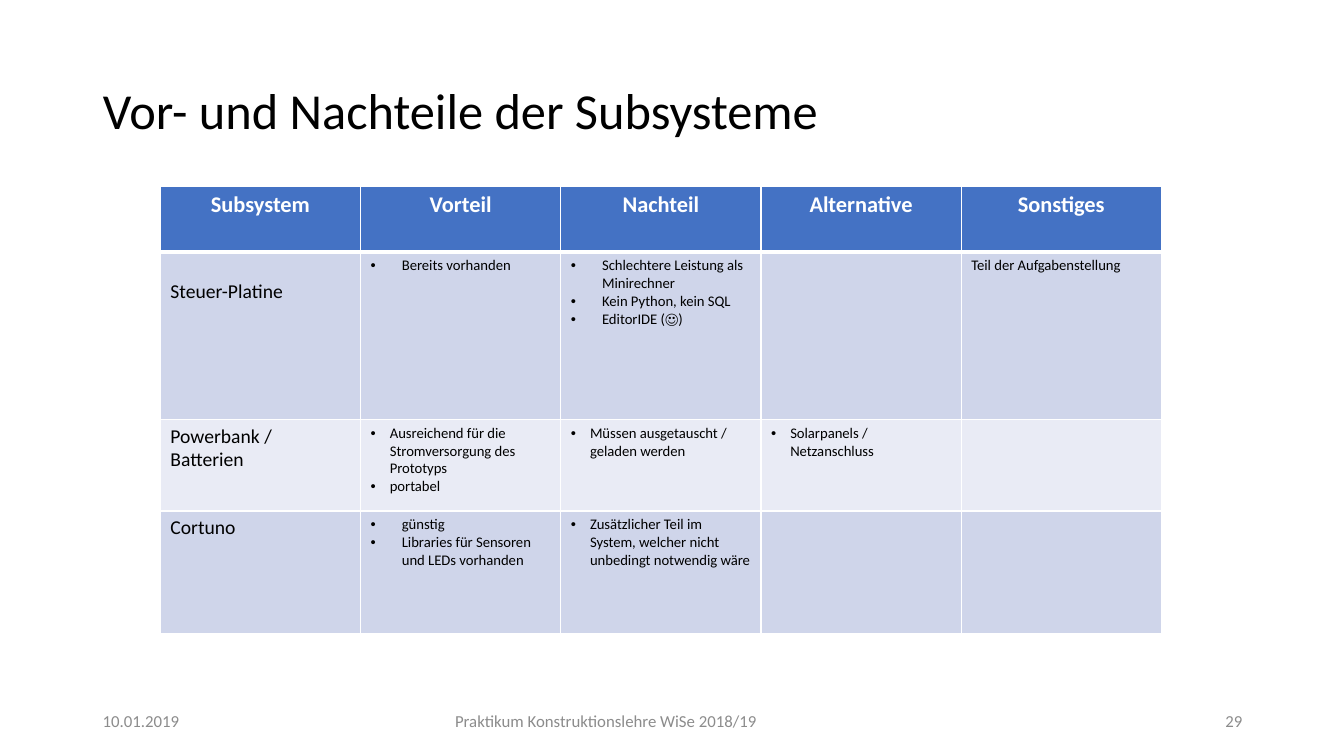
import pptx
import pptx.util
import pptx.dml.color
import pptx.enum.text
import pptx.oxml
import pptx.oxml.ns

Inches, Pt = pptx.util.Inches, pptx.util.Pt
RGBColor = pptx.dml.color.RGBColor
PP_ALIGN = pptx.enum.text.PP_ALIGN
MIDDLE = pptx.enum.text.MSO_ANCHOR.MIDDLE

# Content
TITLE = "Vor- und Nachteile der Subsysteme"
HEADER = ["Subsystem", "Vorteil", "Nachteil", "Alternative", "Sonstiges"]
WIDE, NARROW = 0.31, 0.19  # bullet indents in inches
# Each body cell: (bullet indent or None, paragraphs)
EMPTY = (None, [])
BODY = [
    [(None, ["Steuer-Platine"]),
     (WIDE, ["Bereits vorhanden"]),
     (WIDE, ["Schlechtere Leistung als Minirechner", "Kein Python, kein SQL",
             "EditorIDE (☺)"]),
     EMPTY,
     (None, ["Teil der Aufgabenstellung"])],
    [(None, ["Powerbank /\nBatterien"]),
     (NARROW, ["Ausreichend für die Stromversorgung des Prototyps", "portabel"]),
     (NARROW, ["Müssen ausgetauscht / geladen werden"]),
     (NARROW, ["Solarpanels / Netzanschluss"]),
     EMPTY],
    [(None, ["Cortuno"]),
     (WIDE, ["günstig", "Libraries für Sensoren und LEDs vorhanden"]),
     (NARROW, ["Zusätzlicher Teil im System, welcher nicht unbedingt notwendig wäre"]),
     EMPTY,
     EMPTY],
]
# Footer: text, left, width, alignment
FOOTER = [
    ("10.01.2019", 0.92, 3, PP_ALIGN.LEFT),
    ("Praktikum Konstruktionslehre WiSe 2018/19", 2.69, 6.64, PP_ALIGN.CENTER),
    ("29", 9.42, 3, PP_ALIGN.RIGHT),
]
ROW_HEIGHTS = [0.65, 1.66, 0.91, 1.22]
TABLE_LEFT, TABLE_TOP, TABLE_WIDTH = 1.59, 1.85, 9.93

FONT = "Calibri"
BLACK = RGBColor(0x00, 0x00, 0x00)
WHITE = RGBColor(0xFF, 0xFF, 0xFF)
GREY = RGBColor(0x8C, 0x8C, 0x8C)
BLUE = RGBColor(0x44, 0x72, 0xC4)
BANDS = [RGBColor(0xCF, 0xD5, 0xEA), RGBColor(0xE9, 0xEB, 0xF5)]


def add_text(p, text, size, color, bold=False):
    for i, line in enumerate(text.split("\n")):
        if i:
            p.add_line_break()
        r = p.add_run()
        r.text = line
        r.font.name, r.font.size, r.font.bold = FONT, Pt(size), bold
        r.font.color.rgb = color


def add_bullet(p, indent):
    pPr = p._p.get_or_add_pPr()
    pPr.set("marL", str(Inches(indent)))
    pPr.set("indent", str(-Inches(indent)))
    ns = pptx.oxml.ns.nsdecls("a")
    pPr.append(pptx.oxml.parse_xml(f'<a:buFont {ns} typeface="Arial"/>'))
    pPr.append(pptx.oxml.parse_xml(f'<a:buChar {ns} char="•"/>'))


def style_cell(cell, fill, top=1, bottom=1):
    cell.fill.solid()
    cell.fill.fore_color.rgb = fill
    tcPr = cell._tc.get_or_add_tcPr()
    widths = {"lnL": 1, "lnR": 1, "lnT": top, "lnB": bottom}
    for i, (side, width) in enumerate(widths.items()):
        tcPr.insert(i, pptx.oxml.parse_xml(
            f'<a:{side} {pptx.oxml.ns.nsdecls("a")} w="{Pt(width)}">'
            f'<a:solidFill><a:srgbClr val="{WHITE}"/></a:solidFill></a:{side}>'))


prs = pptx.Presentation()
prs.slide_width, prs.slide_height = Inches(13.33), Inches(7.5)
s = prs.slides.add_slide(prs.slide_layouts[5])

# Title
sp = s.shapes.title
sp.left, sp.top, sp.width, sp.height = map(Inches, (0.92, 0.4, 11.5, 1.45))
tf = sp.text_frame
tf.vertical_anchor = MIDDLE
p = tf.paragraphs[0]
p.alignment, p.line_spacing = PP_ALIGN.LEFT, 0.9
add_text(p, TITLE, 36, BLACK)

# Table
table = s.shapes.add_table(
    len(ROW_HEIGHTS), len(HEADER), Inches(TABLE_LEFT), Inches(TABLE_TOP),
    Inches(TABLE_WIDTH), Inches(sum(ROW_HEIGHTS))).table
for row, height in zip(table.rows, ROW_HEIGHTS):
    row.height = Inches(height)

for col, heading in enumerate(HEADER):
    cell = table.cell(0, col)
    style_cell(cell, BLUE, bottom=3)
    p = cell.text_frame.paragraphs[0]
    p.alignment = PP_ALIGN.CENTER
    add_text(p, heading, 16, WHITE, bold=True)

for row, cells in enumerate(BODY, start=1):
    for col, (indent, lines) in enumerate(cells):
        cell = table.cell(row, col)
        style_cell(cell, BANDS[(row - 1) % 2], top=3 if row == 1 else 1)
        tf = cell.text_frame
        for i, line in enumerate(lines):
            p = tf.add_paragraph() if i else tf.paragraphs[0]
            if indent:
                add_bullet(p, indent)
            add_text(p, line, 10.5 if col else 14, BLACK)

# The first subsystem sits one line lower in its cell
table.cell(1, 0).margin_top = Inches(0.28)

# Footer
for text, left, width, align in FOOTER:
    sp = s.shapes.add_textbox(Inches(left), Inches(6.95), Inches(width), Inches(0.4))
    tf = sp.text_frame
    tf.word_wrap, tf.vertical_anchor = True, MIDDLE
    p = tf.paragraphs[0]
    p.alignment = align
    add_text(p, text, 12, GREY)

prs.save("out.pptx")
